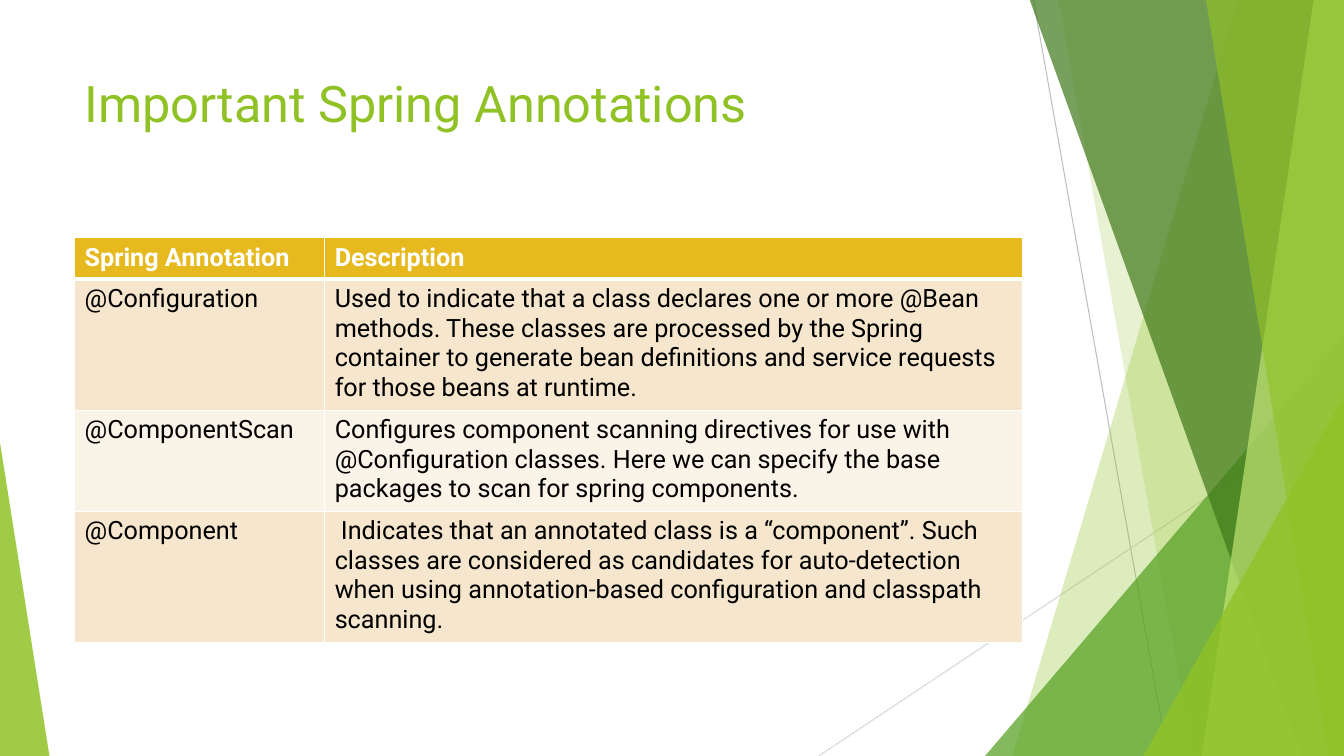
from lxml import etree
from pptx import Presentation
from pptx.dml.color import RGBColor
from pptx.enum.shapes import MSO_CONNECTOR, MSO_SHAPE
from pptx.enum.text import MSO_ANCHOR
from pptx.oxml.ns import qn
from pptx.util import Inches, Pt

FONT = "Roboto"
WIDTH, HEIGHT = 13.33, 7.5

WHITE = RGBColor(0xFF, 0xFF, 0xFF)
BLACK = RGBColor(0x00, 0x00, 0x00)
GRAY = RGBColor(0xBF, 0xBF, 0xBF)
LIGHT_GRAY = RGBColor(0xD9, 0xD9, 0xD9)
LIME = RGBColor(0x90, 0xC2, 0x26)
PALE_LIME = RGBColor(0xC0, 0xE4, 0x74)
GREEN = RGBColor(0x54, 0xA0, 0x21)
DARK_GREEN = RGBColor(0x3F, 0x78, 0x19)
GOLD = RGBColor(0xE6, 0xB9, 0x1E)
SAND = RGBColor(0xF5, 0xE6, 0xCD)
CREAM = RGBColor(0xFA, 0xF3, 0xE8)

TABLE_LEFT, TABLE_TOP = 0.74, 2.36
COLUMN_WIDTHS = [2.48, 6.92]
ROW_HEIGHTS = [0.41, 1.27, 0.98, 1.27]
ANNOTATIONS = [
    ("Spring Annotation", "Description"),
    ("@Configuration",
     "Used to indicate that a class declares one or more @Bean methods. "
     "These classes are processed by the Spring container to generate bean "
     "definitions and service requests for those beans at runtime."),
    ("@ComponentScan",
     "Configures component scanning directives for use with @Configuration "
     "classes. Here we can specify the base packages to scan for spring "
     "components."),
    ("@Component",
     " Indicates that an annotated class is a “component”. Such classes are "
     "considered as candidates for auto-detection when using "
     "annotation-based configuration and classpath scanning."),
]


def add_line(slide, x1, y1, x2, y2, color):
    line = slide.shapes.add_connector(
        MSO_CONNECTOR.STRAIGHT, Inches(x1), Inches(y1), Inches(x2), Inches(y2))
    line.line.color.rgb = color
    line.line.width = Pt(0.75)
    etree.SubElement(line._element.spPr, qn("a:effectLst"))


def paint(sp, color, opacity):
    """Fill a shape with a color at an opacity in percent, without outline."""
    sp.shadow.inherit = False
    sp.fill.solid()
    sp.fill.fore_color.rgb = color
    sp.line.fill.background()
    clr = sp._element.spPr.find(qn("a:solidFill")).find(qn("a:srgbClr"))
    etree.SubElement(clr, qn("a:alpha")).set("val", str(opacity * 1000))


def add_panel(slide, top_x, bottom_x, color, opacity):
    """Add a slanted panel that reaches to the right edge of the slide."""
    top = Inches(-0.01)
    right, bottom = Inches(WIDTH), Inches(HEIGHT)
    builder = slide.shapes.build_freeform(Inches(top_x), top)
    builder.add_line_segments(
        [(right, top), (right, bottom), (Inches(bottom_x), bottom)])
    paint(builder.convert_to_shape(), color, opacity)


def add_corner(slide, left, top, width, apex, color, opacity):
    """Add a right triangle on the bottom edge; apex is 0 (left) or 1 (right)."""
    sp = slide.shapes.add_shape(
        MSO_SHAPE.ISOSCELES_TRIANGLE, Inches(left), Inches(top),
        Inches(width), Inches(HEIGHT - top))
    sp.adjustments[0] = apex
    paint(sp, color, opacity)


def add_decoration(slide):
    add_line(slide, 10.25, 0, 11.58, HEIGHT, GRAY)
    add_line(slide, WIDTH, 4.03, 8.12, HEIGHT, LIGHT_GRAY)
    add_panel(slide, 12.28, 10.04, LIME, 30)
    add_panel(slide, 10.5, 11.83, LIME, 20)
    add_corner(slide, 9.77, 3.33, 3.56, 1, GREEN, 72)
    add_panel(slide, 10.21, 12.91, DARK_GREEN, 70)
    add_panel(slide, 13.03, 11.92, PALE_LIME, 70)
    add_panel(slide, 11.96, 13.18, LIME, 65)
    add_corner(slide, 11.34, 3.93, 1.99, 1, LIME, 80)
    add_corner(slide, 0, 4.39, 0.49, 0, LIME, 85)


def write(tf, text, size, color, bold=False):
    tf.word_wrap = True
    r = tf.paragraphs[0].add_run()
    r.text = text
    r.font.name = FONT
    r.font.size = Pt(size)
    r.font.bold = bold
    r.font.color.rgb = color


def add_title(slide, text):
    box = slide.shapes.add_textbox(
        Inches(0.74), Inches(0.67), Inches(9.4), Inches(1.44))
    box.text_frame.vertical_anchor = MSO_ANCHOR.TOP
    write(box.text_frame, text, 36, LIME)


def set_borders(cell, top, bottom):
    """Draw white cell borders; top and bottom are widths in points."""
    tc_pr = cell._tc.get_or_add_tcPr()
    widths = {"lnL": 1, "lnR": 1, "lnT": top, "lnB": bottom}
    for i, (side, width) in enumerate(widths.items()):
        ln = etree.Element(qn(f"a:{side}"), w=str(Pt(width)))
        fill = etree.SubElement(ln, qn("a:solidFill"))
        etree.SubElement(fill, qn("a:srgbClr")).set("val", str(WHITE))
        tc_pr.insert(i, ln)


def add_annotation_table(slide):
    table = slide.shapes.add_table(
        len(ANNOTATIONS), len(COLUMN_WIDTHS),
        Inches(TABLE_LEFT), Inches(TABLE_TOP),
        Inches(sum(COLUMN_WIDTHS)), Inches(sum(ROW_HEIGHTS))).table
    for column, width in zip(table.columns, COLUMN_WIDTHS):
        column.width = Inches(width)
    for i, (row, height) in enumerate(zip(table.rows, ROW_HEIGHTS)):
        row.height = Inches(height)
        header = i == 0
        background = GOLD if header else (CREAM, SAND)[i % 2]
        for cell, text in zip(row.cells, ANNOTATIONS[i]):
            cell.fill.solid()
            cell.fill.fore_color.rgb = background
            set_borders(cell, 3 if i == 1 else 1, 3 if header else 1)
            write(cell.text_frame, text, 18, WHITE if header else BLACK, header)


def main():
    prs = Presentation()
    prs.slide_width, prs.slide_height = Inches(WIDTH), Inches(HEIGHT)
    slide = prs.slides.add_slide(prs.slide_layouts[6])
    add_decoration(slide)
    add_title(slide, "Important Spring Annotations")
    add_annotation_table(slide)
    prs.save("out.pptx")


if __name__ == "__main__":
    main()
